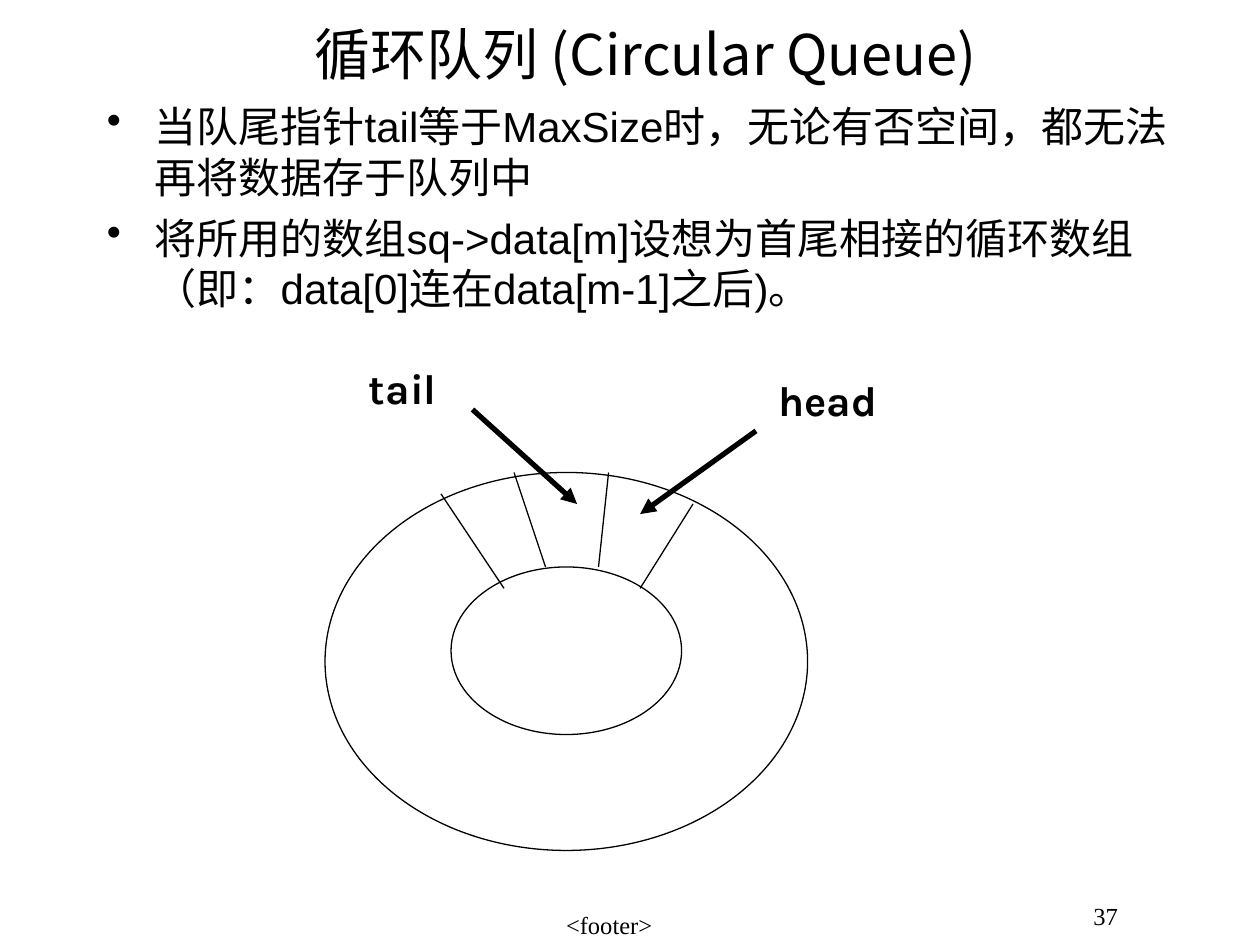
from pptx import Presentation
from pptx.dml.color import RGBColor
from pptx.enum.shapes import MSO_CONNECTOR as Link, MSO_SHAPE as Shape
from pptx.enum.text import MSO_ANCHOR as Anchor, PP_ALIGN as Align
from pptx.oxml.ns import qn
from pptx.util import Inches, Pt
from lxml.etree import SubElement as Sub


def color(code):
    return RGBColor.from_string(code)


class Page:
    ink = "000000"
    asian = "Noto Sans CJK SC"
    thin, thick = 0.75, 3

    def __init__(self, deck):
        self.slide = deck.slides.add_slide(deck.slide_layouts[6])
        self.shapes = self.slide.shapes

    def text(self, box, lines, size, face, bold=False, align=Align.LEFT,
             anchor=Anchor.TOP, bullet=None, before=0, spacing=None):
        frame = self.shapes.add_textbox(*map(Inches, box)).text_frame
        frame.word_wrap = True
        frame.vertical_anchor = anchor
        for i, line in enumerate(lines):
            para = frame.paragraphs[0] if i == 0 else frame.add_paragraph()
            para.text = line
            para.alignment = align
            para.space_before = Pt(before)
            if spacing:
                para.line_spacing = spacing
            font = para.font
            font.size, font.name, font.bold = Pt(size), face, bold
            font.color.rgb = color(self.ink)
            props = para._p.get_or_add_pPr()
            font_el = props.find(qn("a:defRPr"))
            Sub(font_el, qn("a:ea")).set("typeface", self.asian)
            if bullet:
                self.bullet(props, font_el, bullet)

    def bullet(self, props, font_el, mark):
        indent = Inches(0.38)
        props.set("marL", str(indent))
        props.set("indent", str(-indent))
        # Bullet marks come before the default font in the schema
        char = Sub(props, qn("a:buChar"))
        char.set("char", mark)
        font_el.addprevious(char)

    def ring(self, box):
        oval = self.shapes.add_shape(Shape.OVAL, *map(Inches, box))
        oval.shadow.inherit = False
        oval.fill.background()
        oval.line.color.rgb = color(self.ink)
        oval.line.width = Pt(self.thin)

    def line(self, start, end, arrow=False):
        link = self.shapes.add_connector(
            Link.STRAIGHT, *map(Inches, start + end))
        link.line.color.rgb = color(self.ink)
        link.line.width = Pt(self.thick if arrow else self.thin)
        props = link._element.spPr
        if arrow:
            Sub(props.find(qn("a:ln")), qn("a:tailEnd")).set("type", "triangle")
        Sub(props, qn("a:effectLst"))


def main():
    deck = Presentation()
    deck.slide_width, deck.slide_height = Inches(10), Inches(7.5)
    page = Page(deck)

    # Page number and footer
    serif = "Times New Roman"
    page.text((8.58, 7.08, 0.5, 0.42), ["37"], 14, serif, spacing=1.1)
    page.text((3.25, 7.17, 3.17, 0.33), ["<footer>"], 14, serif,
              align=Align.CENTER)

    # Title and body
    page.text((1, 0.17, 8.25, 0.5), ["循环队列 (Circular Queue)"], 32,
              page.asian, align=Align.CENTER, anchor=Anchor.MIDDLE)
    page.text((0.75, 0.75, 8.83, 5.75), [
        "当队尾指针tail等于MaxSize时，无论有否空间，都无法再将数据存于队列中",
        "将所用的数组sq->data[m]设想为首尾相接的循环数组"
        "（即：data[0]连在data[m-1]之后)。",
    ], 24, "Arial", bullet="•", before=6)

    # Circular array
    page.ring((2.58, 3.75, 3.83, 3))
    page.ring((3.58, 4.5, 1.83, 1.33))

    # Cell borders
    for start, end in [((3.5, 3.92), (4, 4.67)),
                       ((4.08, 3.75), (4.33, 4.5)),
                       ((4.83, 3.75), (4.75, 4.5)),
                       ((5.5, 4), (5.08, 4.67))]:
        page.line(start, end)

    # Pointers with their labels
    for name, box, start, end in [
            ("tail", (2.83, 2.83, 0.93, 0.5), (3.75, 3.25), (4.58, 4)),
            ("head", (6.08, 2.92, 2.5, 0.5), (6, 3.42), (5.08, 4.08))]:
        page.line(start, end, arrow=True)
        page.text(box, [name], 24, "Karla", bold=True)

    deck.save("out.pptx")


if __name__ == "__main__":
    main()
